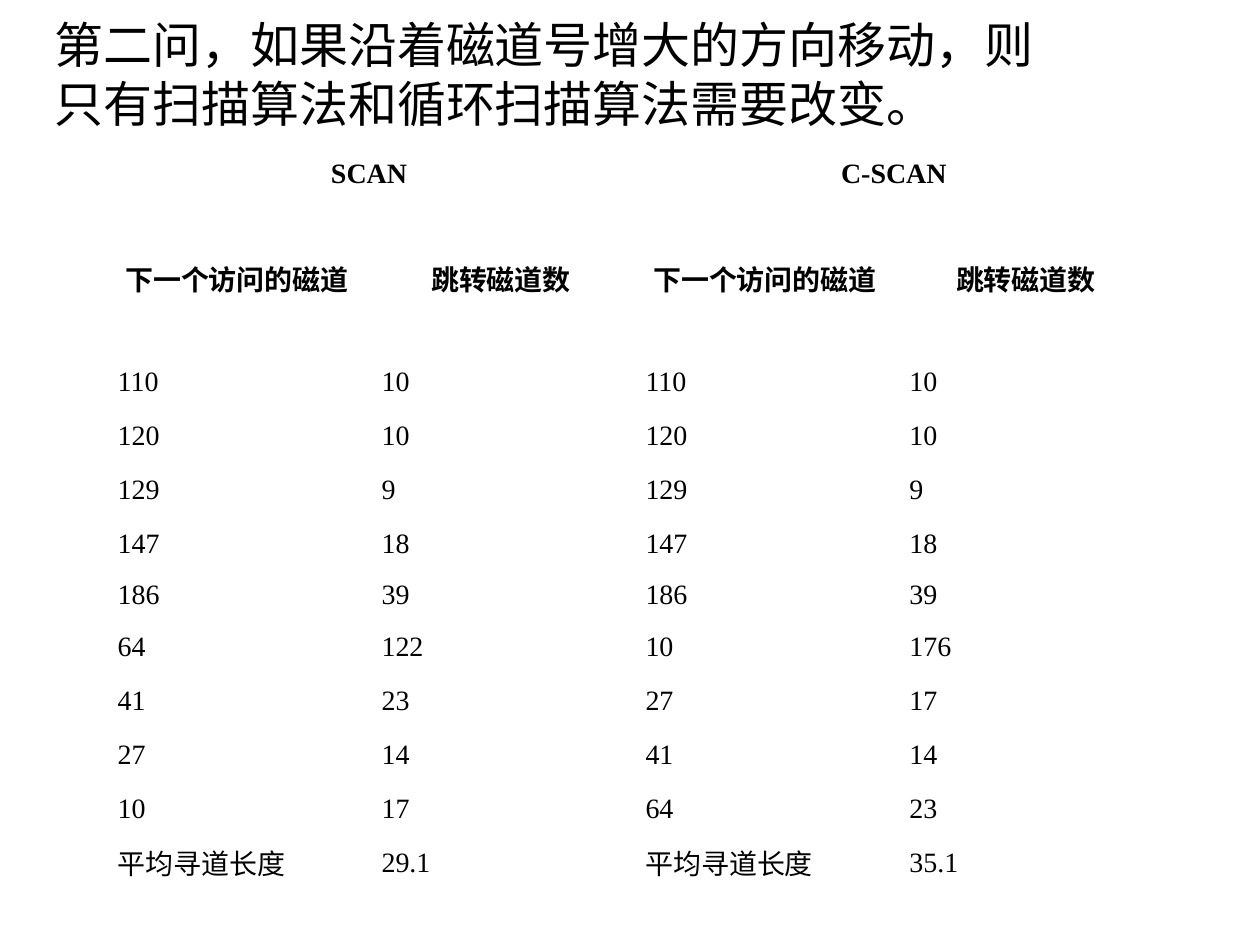
from pptx import Presentation
from pptx.dml.color import RGBColor
from pptx.enum.text import MSO_ANCHOR, MSO_AUTO_SIZE, PP_ALIGN
from pptx.util import Pt

MIDDLE = MSO_ANCHOR.MIDDLE
NO_AUTOFIT = MSO_AUTO_SIZE.NONE
LEFT, CENTER = PP_ALIGN.LEFT, PP_ALIGN.CENTER
BLACK = RGBColor(0, 0, 0)
PX = 914400 // 126

TITLE = "第二问，如果沿着磁道号增大的方向移动，则只有扫描算法和循环扫描算法需要改变。"
ALGORITHMS = ["SCAN", "C-SCAN"]
COLUMN_NAMES = ["下一个访问的磁道", "跳转磁道数"]
SCAN_STEPS = [(110, 10), (120, 10), (129, 9), (147, 18), (186, 39),
              (64, 122), (41, 23), (27, 14), (10, 17)]
C_SCAN_STEPS = [(110, 10), (120, 10), (129, 9), (147, 18), (186, 39),
                (10, 176), (27, 17), (41, 14), (64, 23)]
AVERAGE_LABEL = "平均寻道长度"
AVERAGES = [29.1, 35.1]

TITLE_BOX = (42, 21, 1018, 105)
TABLE_LEFT, TABLE_TOP = 105, 147
COLUMN_WIDTHS = [264, 264, 264, 258]
ROW_HEIGHTS = [54, 154] + [54] * 4 + [49] + [54] * 5
HEADER_ROWS = 2
HANGING_INDENT = 48


def format_paragraph(paragraph, alignment, font_name, size, bold):
    paragraph.alignment = alignment
    font = paragraph.runs[0].font
    font.name = font_name
    font.size = Pt(size)
    font.bold = bold
    font.color.rgb = BLACK


def add_title(slide):
    title = slide.shapes.title
    title.left, title.top, title.width, title.height = (n * PX for n in TITLE_BOX)
    text_frame = title.text_frame
    text_frame.text = TITLE
    text_frame.word_wrap = True
    text_frame.auto_size = NO_AUTOFIT
    text_frame.vertical_anchor = MIDDLE
    format_paragraph(text_frame.paragraphs[0], LEFT, "Arial", 28, False)


def fill_cell(cell, value, is_header):
    cell.fill.background()
    cell.vertical_anchor = MIDDLE
    cell.text_frame.text = str(value)
    paragraph = cell.text_frame.paragraphs[0]
    properties = paragraph._p.get_or_add_pPr()
    properties.set("marL", str(HANGING_INDENT * PX))
    properties.set("indent", str(-HANGING_INDENT * PX))
    format_paragraph(paragraph, CENTER if is_header else LEFT,
                     "Times New Roman", 16, is_header)


def add_seek_table(slide):
    rows = [COLUMN_NAMES * 2]
    rows += [scan + c_scan for scan, c_scan in zip(SCAN_STEPS, C_SCAN_STEPS)]
    rows.append([item for average in AVERAGES for item in (AVERAGE_LABEL, average)])

    frame = slide.shapes.add_table(
        len(ROW_HEIGHTS), len(COLUMN_WIDTHS), TABLE_LEFT * PX, TABLE_TOP * PX,
        sum(COLUMN_WIDTHS) * PX, sum(ROW_HEIGHTS) * PX)
    table = frame.table
    table.first_row = False
    table.horz_banding = False
    for column, width in zip(table.columns, COLUMN_WIDTHS):
        column.width = width * PX
    for row, height in zip(table.rows, ROW_HEIGHTS):
        row.height = height * PX

    for index, algorithm in enumerate(ALGORITHMS):
        first = table.cell(0, 2 * index)
        last = table.cell(0, 2 * index + 1)
        first.merge(last)
        last.fill.background()
        fill_cell(first, algorithm, True)
    for row_index, values in enumerate(rows, start=1):
        for column_index, value in enumerate(values):
            fill_cell(table.cell(row_index, column_index), value,
                      row_index < HEADER_ROWS)


def main():
    presentation = Presentation()
    presentation.slide_width = 1260 * PX
    presentation.slide_height = 945 * PX
    slide = presentation.slides.add_slide(presentation.slide_layouts[5])
    add_title(slide)
    add_seek_table(slide)
    presentation.save("out.pptx")


if __name__ == "__main__":
    main()
